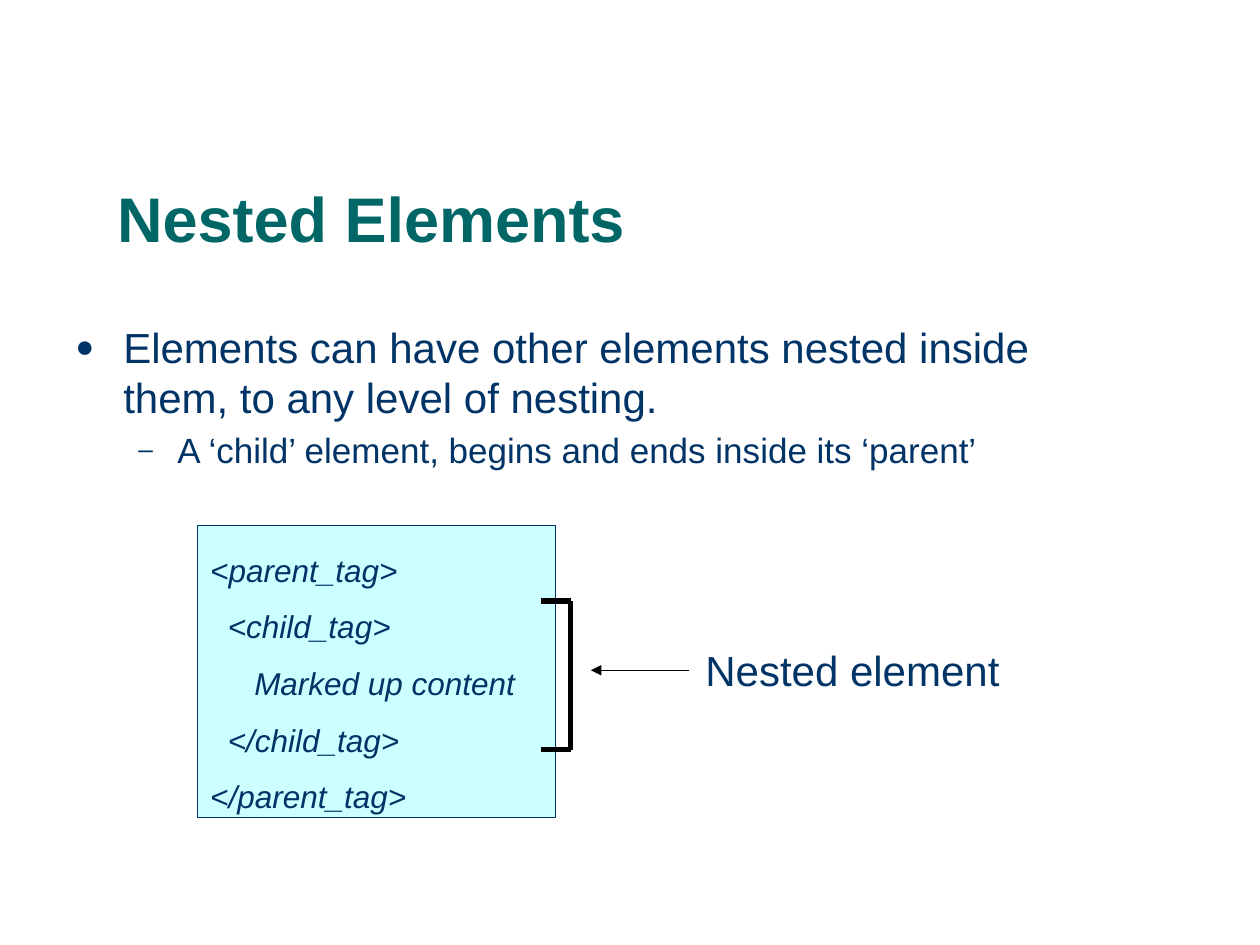
from dataclasses import dataclass

from lxml import etree
from pptx import Presentation
from pptx.dml.color import RGBColor
from pptx.enum.shapes import MSO_CONNECTOR, MSO_SHAPE
from pptx.enum.text import MSO_ANCHOR, MSO_AUTO_SIZE, PP_ALIGN
from pptx.oxml.ns import qn
from pptx.util import Emu, Pt

STRAIGHT = MSO_CONNECTOR.STRAIGHT
RECT = MSO_SHAPE.RECTANGLE
TOP, BOTTOM = MSO_ANCHOR.TOP, MSO_ANCHOR.BOTTOM
LEFT = PP_ALIGN.LEFT
NO_FIT = MSO_AUTO_SIZE.NONE
TITLE_ONLY = 5
PX = 9144  # 100 px to the inch


@dataclass(frozen=True)
class Theme:
    font: str = "Arial"
    heading: str = "006666"
    text: str = "003366"
    panel: str = "CCFFFF"
    line: str = "000000"
    title_size: int = 36
    body_size: int = 24
    sub_size: int = 20
    code_size: int = 18
    thin: float = 0.75
    thick: float = 3


def px(n):
    return Emu(n * PX)


def rgb(value):
    return RGBColor.from_string(value)


class SlideBuilder:
    def __init__(self, slide, theme):
        self.slide = slide
        self.theme = theme

    def format(self, p, size, color=None, bold=False, italic=False):
        p.alignment = LEFT
        p.font.name = self.theme.font
        p.font.size = Pt(size)
        p.font.bold = bold
        p.font.italic = italic
        p.font.color.rgb = rgb(color or self.theme.text)

    def frame(self, sp, anchor=TOP):
        tf = sp.text_frame
        tf.word_wrap = True
        tf.auto_size = NO_FIT
        tf.vertical_anchor = anchor
        return tf

    def paragraphs(self, tf, texts):
        """Fill the frame with one paragraph per text and yield them."""
        for i, text in enumerate(texts):
            p = tf.add_paragraph() if i else tf.paragraphs[0]
            p.text = text
            yield p

    def title(self, text, x, y, w, h):
        sp = self.slide.shapes.title
        sp.left, sp.top, sp.width, sp.height = map(px, (x, y, w, h))
        p = next(self.paragraphs(self.frame(sp, BOTTOM), [text]))
        p.line_spacing = 0.9
        self.format(p, self.theme.title_size, self.theme.heading, bold=True)

    def text_box(self, x, y, w, h):
        return self.frame(self.slide.shapes.add_textbox(*map(px, (x, y, w, h))))

    def label(self, text, x, y, w, h):
        p = next(self.paragraphs(self.text_box(x, y, w, h), [text]))
        self.format(p, self.theme.body_size)

    def bullets(self, items, x, y, w, h):
        """Each item is (text, level, bullet, size, margin, hanging)."""
        tf = self.text_box(x, y, w, h)
        for p, item in zip(self.paragraphs(tf, [i[0] for i in items]), items):
            _, level, bullet, size, margin, hanging = item
            p.level = level
            p.space_before = Pt(size * 0.2)
            self.format(p, size)
            pPr = p._p.get_or_add_pPr()
            pPr.set("marL", str(px(margin)))
            pPr.set("indent", str(px(-hanging)))
            color = etree.Element(qn("a:buClr"))
            etree.SubElement(color, qn("a:srgbClr"), val=self.theme.text)
            marks = [color,
                     etree.Element(qn("a:buSzPct"), val="75000"),
                     etree.Element(qn("a:buFont"), typeface=self.theme.font),
                     etree.Element(qn("a:buChar"), char=bullet)]
            at = pPr.index(pPr.find(qn("a:defRPr")))
            pPr[at:at] = marks

    def code_panel(self, lines, x, y, w, h):
        """Each line is (text, indent)."""
        sp = self.slide.shapes.add_shape(RECT, *map(px, (x, y, w, h)))
        sp.shadow.inherit = False
        sp.fill.solid()
        sp.fill.fore_color.rgb = rgb(self.theme.panel)
        sp.line.color.rgb = rgb(self.theme.text)
        sp.line.width = Pt(self.theme.thin)
        tf = self.frame(sp)
        for p, (_, indent) in zip(self.paragraphs(tf, [n[0] for n in lines]), lines):
            p.line_spacing = 1.5
            self.format(p, self.theme.code_size, italic=True)
            p._p.get_or_add_pPr().set("marL", str(px(indent)))

    def line(self, start, end, width, shapes=None, arrow=False):
        shapes = self.slide.shapes if shapes is None else shapes
        cx = shapes.add_connector(STRAIGHT, *map(px, start + end))
        cx.line.color.rgb = rgb(self.theme.line)
        cx.line.width = Pt(width)
        if arrow:
            etree.SubElement(cx.line._get_or_add_ln(), qn("a:tailEnd"), type="triangle")
        etree.SubElement(cx._element.spPr, qn("a:effectLst"))

    def bracket(self, left, right, top, bottom):
        shapes = self.slide.shapes.add_group_shape().shapes
        self.line((right, top), (right, bottom), self.theme.thick, shapes)
        for y in (top, bottom):
            self.line((right, y), (left, y), self.theme.thick, shapes)


def main():
    prs = Presentation()
    prs.slide_width, prs.slide_height = px(1000), px(750)
    theme = Theme()
    s = SlideBuilder(prs.slides.add_slide(prs.slide_layouts[TITLE_ONLY]), theme)

    s.title("Nested Elements", 83, 83, 867, 125)
    s.bullets([
        ("Elements can have other elements nested inside them, "
         "to any level of nesting.", 0, "●", theme.body_size, 38, 38),
        ("A ‘child’ element, begins and ends inside its ‘parent’",
         1, "–", theme.sub_size, 81, 31),
    ], 50, 250, 841, 407)
    s.label("Nested element", 550, 507, 277, 50)
    s.line((547, 532), (469, 532), theme.thin, arrow=True)
    s.code_panel([
        ("<parent_tag>", 0),
        ("<child_tag>", 14),
        ("Marked up content", 35),
        ("</child_tag>", 14),
        ("</parent_tag>", 0),
    ], 157, 417, 284, 232)
    s.bracket(429, 453, 477, 595)

    prs.save("out.pptx")


if __name__ == "__main__":
    main()
